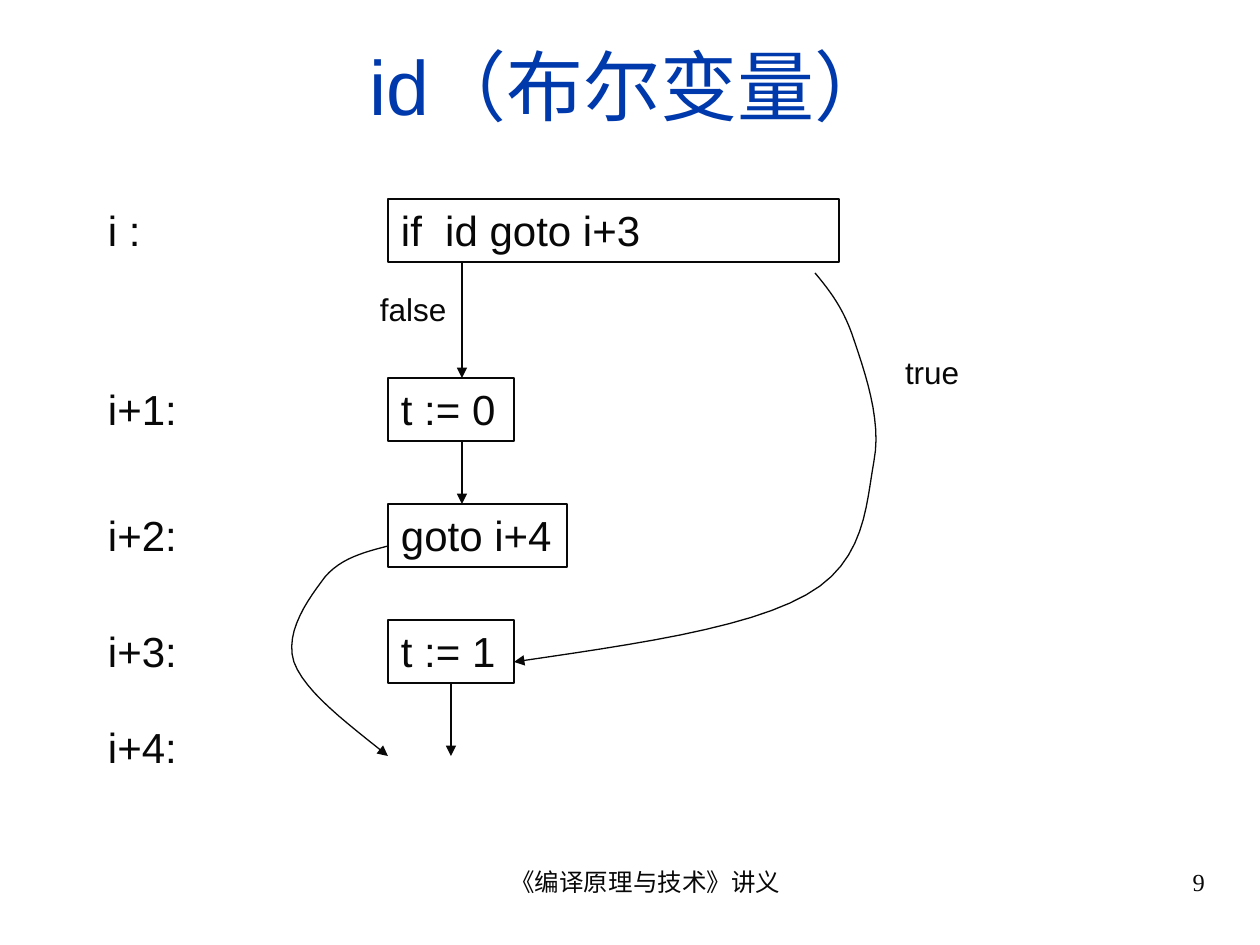
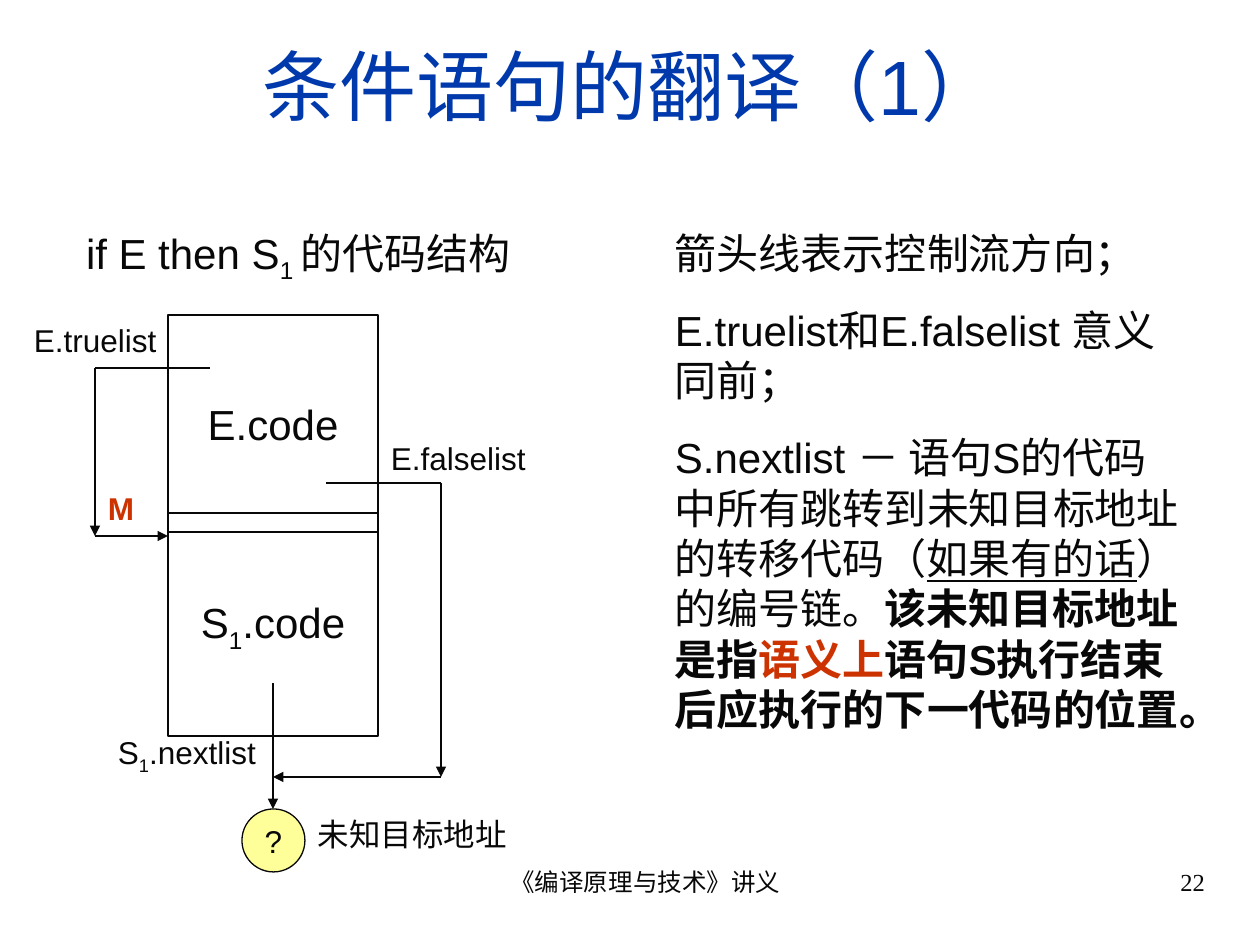
from lxml import etree
from pptx import Presentation
from pptx.dml.color import RGBColor
from pptx.enum import shapes, text
from pptx.oxml import ns
from pptx.util import Pt

PX = 914400 / 126
TITLE_BLUE = RGBColor(0x00, 0x39, 0xAC)
INK = RGBColor(0x08, 0x08, 0x08)
RED = RGBColor(0xCC, 0x33, 0x00)
YELLOW = RGBColor(0xFF, 0xFF, 0x99)
LEFT, CENTER, RIGHT = text.PP_ALIGN.LEFT, text.PP_ALIGN.CENTER, text.PP_ALIGN.RIGHT
TOP, MIDDLE = text.MSO_ANCHOR.TOP, text.MSO_ANCHOR.MIDDLE
BODY, LABEL = 24, 18
SUB = {"subscript": True}
BOLD = {"bold": True}


def px(*lengths):
    return [round(length * PX) for length in lengths]


def add_span(para, content, size=BODY, color=INK, font="Arial", bold=False,
             underline=False, subscript=False):
    span = para.add_run()
    span.text = content
    span.font.size = Pt(size)
    span.font.name = font
    span.font.color.rgb = color
    span.font.bold = bold
    span.font.underline = underline
    if subscript:
        span._r.get_or_add_rPr().set("baseline", "-25000")


def write(shape, paragraphs, align=LEFT, anchor=TOP, wrap=True, left=13, top=6,
          gap=15, **style):
    frame = shape.text_frame
    frame.word_wrap = wrap
    frame.auto_size = text.MSO_AUTO_SIZE.NONE
    frame.vertical_anchor = anchor
    frame.margin_left, frame.margin_top = px(left, top)
    frame.margin_right, frame.margin_bottom = px(13, 6)
    for index, spans in enumerate(paragraphs):
        para = frame.add_paragraph() if index else frame.paragraphs[0]
        para.alignment = align
        para.space_before = Pt(gap if index else 0)
        for content, changes in spans:
            add_span(para, content, **{**style, **changes})


def plain(content):
    return [[(content, {})]]


def add_text(page, frame, paragraphs, **style):
    box = page.shapes.add_textbox(*px(*frame))
    write(box, paragraphs, **style)


def style_line(shape, arrow):
    shape.line.color.rgb = INK
    shape.line.width = Pt(0.75)
    if arrow:
        tail = etree.SubElement(shape.line._get_or_add_ln(), ns.qn("a:tailEnd"))
        tail.set("type", "triangle")


def add_box(page, frame, paragraphs, kind=shapes.MSO_SHAPE.RECTANGLE, fill=None, **style):
    box = page.shapes.add_shape(kind, *px(*frame))
    box.shadow.inherit = False
    if fill is None:
        box.fill.background()
    else:
        box.fill.solid()
        box.fill.fore_color.rgb = fill
    style_line(box, False)
    write(box, paragraphs, **style)


def add_line(page, start, end, arrow=True):
    line = page.shapes.add_connector(shapes.MSO_CONNECTOR.STRAIGHT, *px(*start, *end))
    style_line(line, arrow)
    etree.SubElement(line._element.spPr, ns.qn("a:effectLst"))


def bezier(points, steps=12):
    for step in range(1, steps + 1):
        t = step / steps
        weights = ((1 - t) ** 3, 3 * t * (1 - t) ** 2, 3 * t * t * (1 - t), t ** 3)
        yield px(*(sum(w * point[axis] for w, point in zip(weights, points))
                   for axis in (0, 1)))


def add_curve(page, points):
    builder = page.shapes.build_freeform(*px(*points[0]))
    for first in range(0, len(points) - 1, 3):
        builder.add_line_segments(list(bezier(points[first:first + 4])), close=False)
    curve = builder.convert_to_shape()
    curve.shadow.inherit = False
    curve.fill.background()
    style_line(curve, True)


def add_page(deck, title, number):
    page = deck.slides.add_slide(deck.slide_layouts[5])
    heading = page.shapes.title
    heading.left, heading.top, heading.width, heading.height = px(42, 32, 1177, 105)
    write(heading, plain(title), align=CENTER, anchor=MIDDLE, size=44, color=TITLE_BLUE)
    footer = {"size": 14, "font": "Times New Roman", "left": 43}
    add_text(page, (431, 861, 399, 66), plain("《编译原理与技术》讲义"), align=CENTER, **footer)
    add_text(page, (903, 861, 315, 66), plain(str(number)), align=RIGHT, **footer)
    return page


def build_boolean_page(deck):
    page = add_page(deck, "id（布尔变量）", 9)
    instructions = (
        (199, "i :", "if  id goto i+3", 451),
        (378, "i+1:", "t := 0", 126),
        (504, "i+2:", "goto i+4", 179),
        (620, "i+3:", "t := 1", 126),
        (716, "i+4:", None, 0),
    )
    for top, address, code, width in instructions:
        add_text(page, (95, top, 273, 63), plain(address))
        if code:
            add_box(page, (388, top, width, 63), plain(code))

    true_jump = [(815, 273), (830, 291), (844, 309), (854, 340), (864, 370),
                 (882, 420), (874, 461), (866, 504), (866, 562), (806, 595),
                 (746, 629), (630, 645), (514, 662)]
    exit_jump = [(388, 546), (365, 552), (341, 558), (325, 577), (310, 597),
                 (284, 631), (294, 662), (305, 692), (347, 723), (388, 756)]
    add_curve(page, true_jump)
    add_curve(page, exit_jump)
    for x, top, bottom in ((462, 262, 378), (462, 441, 504), (451, 683, 756)):
        add_line(page, (x, top), (x, bottom))
    add_text(page, (892, 347, 147, 50), plain("true"), size=LABEL)
    add_text(page, (367, 284, 147, 50), plain("false"), size=LABEL)


def build_conditional_page(deck):
    page = add_page(deck, "条件语句的翻译（1）", 22)
    code_style = {"align": CENTER, "top": 84}
    add_box(page, (168, 315, 210, 217), plain("E.code"), **code_style)
    add_box(page, (168, 513, 210, 223),
            [[("S", {}), ("1", SUB), (".code", {})]], **code_style)
    add_text(page, (73, 221, 473, 71),
             [[("if E then S", {}), ("1 ", SUB), ("的代码结构", {})]])

    add_line(page, (210, 368), (95, 368), arrow=False)
    add_line(page, (95, 368), (95, 536))
    add_line(page, (95, 536), (168, 536))
    add_line(page, (326, 483), (441, 483), arrow=False)
    add_line(page, (441, 483), (441, 777))
    add_line(page, (273, 683), (273, 809))
    add_line(page, (441, 777), (273, 777))

    add_text(page, (21, 315, 179, 50), plain("E.truelist"), size=LABEL)
    add_text(page, (378, 433, 210, 50), plain("E.falselist"), size=LABEL)
    add_text(page, (105, 727, 179, 55),
             [[("S", {}), ("1", SUB), (".nextlist", {})]], size=LABEL)
    add_text(page, (95, 483, 84, 50), plain("M"), size=LABEL, color=RED, bold=True)
    add_box(page, (242, 809, 63, 63), plain("?"), kind=shapes.MSO_SHAPE.OVAL,
            fill=YELLOW, size=LABEL, align=CENTER, anchor=MIDDLE, wrap=False)
    add_text(page, (305, 809, 315, 50), plain("未知目标地址"), size=LABEL)

    add_text(page, (662, 222, 536, 519), [
        [("箭头线表示控制流方向；", {})],
        [("E.truelist和E.falselist 意义同前；", {})],
        [("S.nextlist － 语句S的代码中所有跳转到未知目标地址的转移代码（", {}),
         ("如果有的话", {"underline": True}),
         ("）的编号链。", {}),
         ("该未知目标地址是指", BOLD),
         ("语义上", {"bold": True, "color": RED}),
         ("语句S执行结束后应执行的下一代码的位置。", BOLD)],
    ])


def main():
    deck = Presentation()
    deck.slide_width, deck.slide_height = px(1260, 945)
    build_boolean_page(deck)
    build_conditional_page(deck)
    deck.save("out.pptx")


if __name__ == "__main__":
    main()
